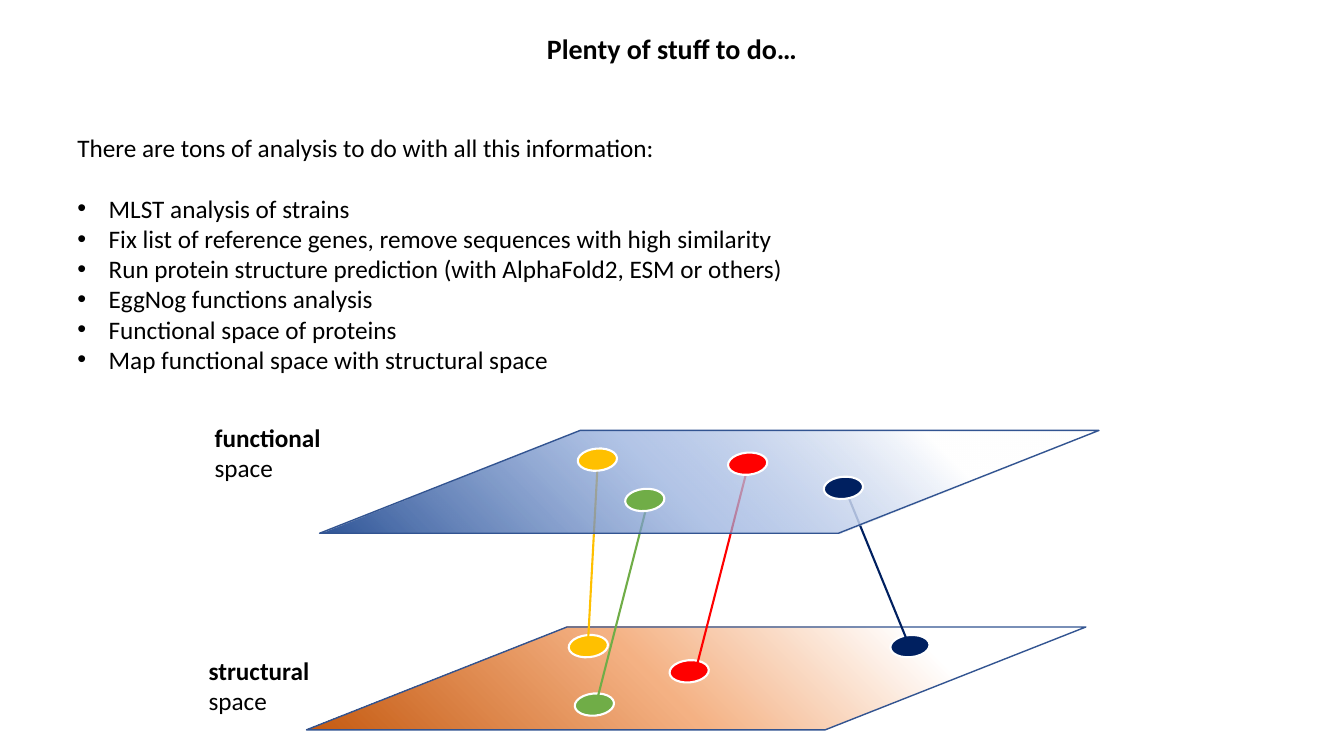
from lxml import etree
from pptx import Presentation
from pptx import util as u
from pptx.dml.color import RGBColor
from pptx.enum import shapes, text
from pptx.oxml.ns import qn

WIDE, HIGH = 13.33, 7.5
FONT = "Calibri"
INK = {"black": "000000", "white": "FFFFFF", "edge": "325491",
       "gold": "FFC000", "green": "70AD47", "red": "FF0000", "navy": "002060"}

TITLE = "Plenty of stuff to do…"
INTRO = "There are tons of analysis to do with all this information:"
TASKS = [
    "MLST analysis of strains",
    "Fix list of reference genes, remove sequences with high similarity",
    "Run protein structure prediction (with AlphaFold2, ESM or others)",
    "EggNog functions analysis",
    "Functional space of proteins",
    "Map functional space with structural space",
]

# Each plane: left, top, then gradient stops (percent, colour, opacity percent)
PLANE = (7.73, 1.02)
SLANT = 2.533
LOWER = (3.04, 6.22, [(20, "FFFFFF", 100), (55, "F4B183", 100), (100, "C55A11", 100)])
UPPER = (3.17, 4.27, [(20, "FFFFFF", 100), (55, "8FAADC", 68), (100, "2F5597", 100)])
LABELS = [("functional", 2.03, 4.14), ("structural", 1.97, 6.45)]

# Each protein: colour, upper dot, lower dot (left, top), link start, link end
DOT = (0.39, 0.22)
PAIRS = [
    ("gold", (5.73, 4.45), (5.64, 6.3), (5.93, 4.56), (5.83, 6.41)),
    ("green", (6.2, 4.85), (5.7, 6.88), (6.43, 4.96), (5.91, 6.99)),
    ("red", (7.22, 4.49), (6.64, 6.55), (7.43, 4.58), (6.91, 6.61)),
    ("navy", (8.17, 4.73), (8.83, 6.3), (8.37, 4.82), (9.02, 6.41)),
]


def paint(form, hue):
    form.solid()
    form.fore_color.rgb = RGBColor.from_string(hue)


def stroke(line, hue, width):
    paint(line.fill, hue)
    line.width = u.Pt(width)


def style(run, size=18, bold=False):
    run.font.name, run.font.size, run.font.bold = FONT, u.Pt(size), bold
    paint(run.font.fill, INK["black"])


def box(slide, left, top, width, height):
    frame = slide.shapes.add_textbox(*map(u.Inches, (left, top, width, height))).text_frame
    frame.word_wrap = True
    return frame


def shape(slide, kind, spot, size):
    item = slide.shapes.add_shape(kind, *map(u.Inches, (*spot, *size)))
    item.shadow.inherit = False
    return item


def bullet(para):
    props = para._p.get_or_add_pPr()
    props.set("marL", str(u.Inches(0.31)))
    props.set("indent", str(-u.Inches(0.31)))
    etree.SubElement(props, qn("a:buFont")).set("typeface", "Arial")
    etree.SubElement(props, qn("a:buChar")).set("char", "•")


def plane(slide, left, top, stops):
    item = shape(slide, shapes.MSO_SHAPE.PARALLELOGRAM, (left, top), PLANE)
    item.adjustments[0] = SLANT
    stroke(item.line, INK["edge"], 1)
    item.fill.gradient()
    item.fill.gradient_angle = 225
    group = item._element.spPr.find(qn("a:gradFill")).find(qn("a:gsLst"))
    for old in list(group):
        group.remove(old)
    for place, hue, alpha in stops:
        stop = etree.SubElement(group, qn("a:gs"), pos=str(place * 1000))
        tint = etree.SubElement(stop, qn("a:srgbClr"), val=hue)
        if alpha < 100:
            etree.SubElement(tint, qn("a:alpha"), val=str(alpha * 1000))


def dot(slide, spot, hue):
    item = shape(slide, shapes.MSO_SHAPE.OVAL, spot, DOT)
    item.rotation = 354.9
    paint(item.fill, hue)
    stroke(item.line, INK["white"], 1.5)


def link(slide, start, end, hue):
    item = slide.shapes.add_connector(shapes.MSO_CONNECTOR.STRAIGHT,
                                      *map(u.Inches, (*start, *end)))
    stroke(item.line, hue, 1.5)
    etree.SubElement(item._element.spPr, qn("a:effectLst"))


def main():
    deck = Presentation()
    deck.slide_width, deck.slide_height = u.Inches(WIDE), u.Inches(HIGH)
    slide = deck.slides.add_slide(deck.slide_layouts[6])

    head = box(slide, 0, 0.26, WIDE, 0.44).paragraphs[0]
    head.text = TITLE
    head.alignment = text.PP_ALIGN.CENTER
    style(head.runs[0], 20, True)

    frame = box(slide, 0.67, 1.26, 11.93, 3.13)
    frame.text = "\n".join([INTRO] + TASKS)
    for row, para in enumerate(frame.paragraphs):
        if row == 1:
            para.space_before = u.Pt(22)
        if row:
            bullet(para)
        style(para.runs[0])

    plane(slide, *LOWER)
    for hue, _, low, _, _ in PAIRS:
        dot(slide, low, INK[hue])
    for hue, _, _, start, end in PAIRS:
        link(slide, start, end, INK[hue])
    plane(slide, *UPPER)
    for word, left, top in LABELS:
        para = box(slide, left, top, 1.55, 0.65).paragraphs[0]
        for part, bold in ((word, True), (" space", False)):
            run = para.add_run()
            run.text = part
            style(run, bold=bold)
    for hue, high, _, _, _ in PAIRS:
        dot(slide, high, INK[hue])

    deck.save("out.pptx")


if __name__ == "__main__":
    main()
